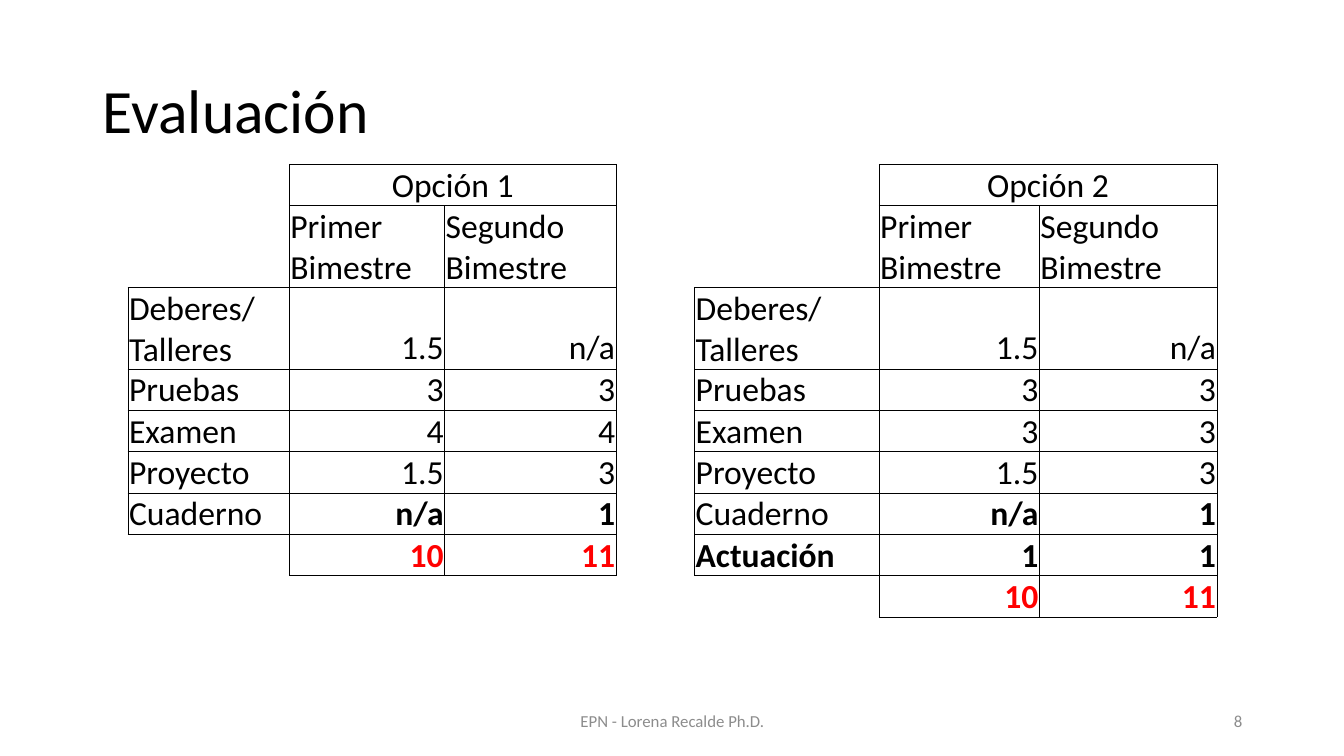
from lxml import etree
from pptx import Presentation
from pptx.dml.color import RGBColor
from pptx.enum import text as txt
from pptx.oxml import ns
from pptx.util import Inches, Pt

BLACK = RGBColor(0x00, 0x00, 0x00)
RED = RGBColor(0xFF, 0x00, 0x00)
GRAY = RGBColor(0x8C, 0x8C, 0x8C)
FONT = "Calibri"
PLAIN_STYLE = "{2D5ABB26-0587-4C30-8999-92F81FD0307C}"
LEFT, CENTER, RIGHT = txt.PP_ALIGN.LEFT, txt.PP_ALIGN.CENTER, txt.PP_ALIGN.RIGHT

COLUMN_WIDTHS = [1.6, 1.54, 1.7, 0.78, 1.83, 1.59, 1.76]
ROW_COUNT = 9
ROW_HEIGHT = 0.37
PERIODS = ["", "Primer Bimestre", "Segundo Bimestre"]
HOMEWORK = ["Deberes/\nTalleres", "1.5", "n/a"]
QUIZZES = ["Pruebas", "3", "3"]
PROJECT = ["Proyecto", "1.5", "3"]
NOTEBOOK = ["Cuaderno", "n/a", "1"]
PARTICIPATION = ["Actuación", "1", "1"]
TOTAL = ["", "10", "11"]
OPTIONS = [
    (0, "Opción 1", [HOMEWORK, QUIZZES, ["Examen", "4", "4"], PROJECT,
                     NOTEBOOK, TOTAL]),
    (4, "Opción 2", [HOMEWORK, QUIZZES, ["Examen", "3", "3"], PROJECT,
                     NOTEBOOK, PARTICIPATION, TOTAL]),
]


def write(frame, wording, size, color=BLACK, align=LEFT, bold=False):
    for index, line in enumerate(wording.split("\n")):
        paragraph = frame.add_paragraph() if index else frame.paragraphs[0]
        paragraph.alignment = align
        run = paragraph.add_run()
        run.text = line
        run.font.name = FONT
        run.font.size = Pt(size)
        run.font.bold = bold
        run.font.color.rgb = color


def place_title(slide, left, top, width, height):
    title = slide.shapes.title
    title.left, title.top = Inches(left), Inches(top)
    title.width, title.height = Inches(width), Inches(height)
    title.text_frame.vertical_anchor = txt.MSO_ANCHOR.MIDDLE
    write(title.text_frame, "Evaluación", 44)
    title.text_frame.paragraphs[0].line_spacing = 0.9


def place_footer(slide, left, top, width, height, wording, align):
    footer = slide.shapes.add_textbox(
        Inches(left), Inches(top), Inches(width), Inches(height)).text_frame
    footer.word_wrap = True
    footer.vertical_anchor = txt.MSO_ANCHOR.MIDDLE
    write(footer, wording, 12, GRAY, align)


def write_cell(cell, wording, **style):
    cell.vertical_anchor = txt.MSO_ANCHOR.BOTTOM
    cell.margin_left = cell.margin_right = cell.margin_top = Inches(0.01)
    cell.margin_bottom = 0
    write(cell.text_frame, wording, 24, **style)


def fill_option(table, first, heading, scores):
    table.cell(0, first + 1).merge(table.cell(0, first + 2))
    write_cell(table.cell(0, first + 1), heading, align=CENTER)
    written = {(0, first + 1), (0, first + 2)}
    for row, entries in enumerate([PERIODS] + scores, 1):
        for offset, entry in enumerate(entries):
            if not entry:
                continue
            is_score = row > 1 and offset > 0
            write_cell(
                table.cell(row, first + offset), entry,
                align=RIGHT if is_score else LEFT,
                color=RED if entries is TOTAL else BLACK,
                bold=(entries in (PARTICIPATION, TOTAL)
                      or entries is NOTEBOOK and is_score))
            written.add((row, first + offset))
    return written


def add_border(cell, side, visible):
    properties = cell._tc.get_or_add_tcPr()
    border = etree.SubElement(properties, ns.qn("a:ln" + side), w=str(Pt(0.5)))
    if visible:
        fill = etree.SubElement(border, ns.qn("a:solidFill"))
        etree.SubElement(fill, ns.qn("a:srgbClr"), val=str(BLACK))
    else:
        etree.SubElement(border, ns.qn("a:noFill"))


def place_scores(slide, left, top, width, height):
    table = slide.shapes.add_table(
        ROW_COUNT, len(COLUMN_WIDTHS), Inches(left), Inches(top),
        Inches(width), Inches(height)).table
    table.first_row = table.horz_banding = False
    table._tbl.tblPr.find(ns.qn("a:tableStyleId")).text = PLAIN_STYLE
    for column, column_width in zip(table.columns, COLUMN_WIDTHS):
        column.width = Inches(column_width)
    for row in table.rows:
        row.height = Inches(ROW_HEIGHT)

    written = set()
    for first, heading, scores in OPTIONS:
        written |= fill_option(table, first, heading, scores)

    neighbours = {"L": (0, -1), "R": (0, 1), "T": (-1, 0), "B": (1, 0)}
    for row in range(ROW_COUNT):
        for column in range(len(COLUMN_WIDTHS)):
            cell = table.cell(row, column)
            for side, (down, across) in neighbours.items():
                touching = {(row, column), (row + down, column + across)}
                add_border(cell, side, bool(touching & written))
            cell.fill.background()


def main():
    deck = Presentation()
    deck.slide_width, deck.slide_height = Inches(13.33), Inches(7.5)
    slide = deck.slides.add_slide(deck.slide_layouts[5])
    place_title(slide, 0.92, 0.4, 11.5, 1.45)
    place_footer(slide, 4.42, 6.95, 4.5, 0.4, "EPN - Lorena Recalde Ph.D.", CENTER)
    place_footer(slide, 9.42, 6.95, 3, 0.4, "8", RIGHT)
    place_scores(slide, 1.27, 1.63, sum(COLUMN_WIDTHS), ROW_COUNT * ROW_HEIGHT)
    deck.save("out.pptx")


if __name__ == "__main__":
    main()
